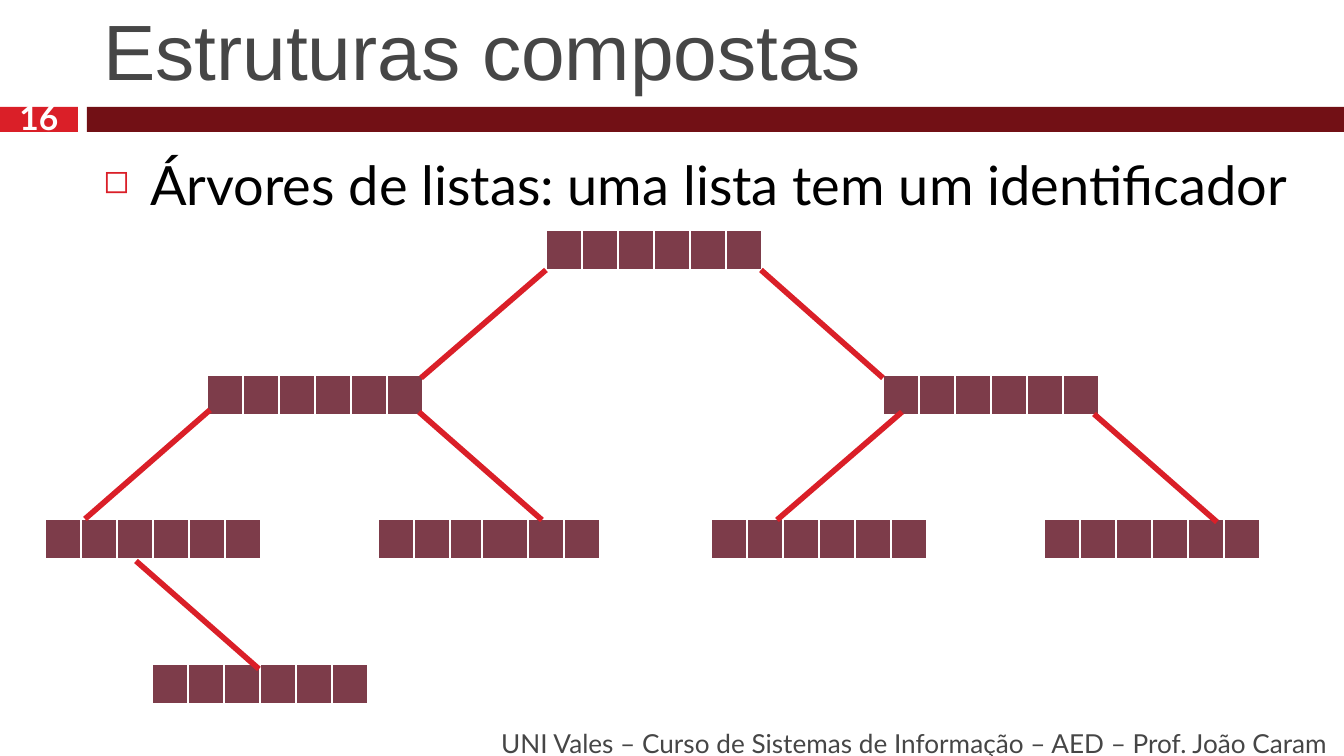
from lxml.etree import SubElement
from pptx import Presentation
from pptx.dml.color import RGBColor
from pptx.enum.shapes import MSO_CONNECTOR as Connector, MSO_SHAPE as Shape
from pptx.enum.text import MSO_ANCHOR as Anchor, PP_ALIGN as Align
from pptx.oxml.ns import qn
from pptx.util import Pt

WHITE = RGBColor(0xFF, 0xFF, 0xFF)
BLACK = RGBColor(0x00, 0x00, 0x00)
GRAY = RGBColor(0x46, 0x46, 0x46)
RED = RGBColor(0xDA, 0x1F, 0x28)
DARK_RED = RGBColor(0x72, 0x10, 0x15)
PLUM = RGBColor(0x7D, 0x3C, 0x4A)

PX_PER_INCH = 134.4
LIST_HEIGHT = 42
CELL = 36
EVEN_CELLS = [CELL] * 6


def px(length):
    return round(length * 914400 / PX_PER_INCH)


def add_color(parent, color):
    SubElement(SubElement(parent, qn("a:solidFill")), qn("a:srgbClr"), val=str(color))


def write(frame, text, size, color, font="Lato", bold=False,
          align=Align.LEFT, anchor=Anchor.TOP):
    frame.word_wrap = True
    frame.vertical_anchor = anchor
    paragraph = frame.paragraphs[0]
    paragraph.alignment = align
    run = paragraph.add_run()
    run.text = text
    run.font.size, run.font.name, run.font.bold = Pt(size), font, bold
    run.font.color.rgb = color
    return paragraph


class TreeSlide:
    def __init__(self, deck):
        self.shapes = deck.slides.add_slide(deck.slide_layouts[6]).shapes

    def bar(self, left, top, width, height, color):
        bar = self.shapes.add_shape(Shape.RECTANGLE, px(left), px(top), px(width), px(height))
        bar.shadow.inherit = False
        bar.fill.solid()
        bar.fill.fore_color.rgb = color
        bar.line.fill.background()

    def text(self, left, top, width, height, text, **style):
        box = self.shapes.add_textbox(px(left), px(top), px(width), px(height))
        return write(box.text_frame, text, **style)

    def bullet(self, paragraph, mark, color, percent, indent):
        paragraph.space_before = Pt(7)
        props = paragraph._p.get_or_add_pPr()
        props.set("marL", str(px(indent)))
        props.set("indent", str(-px(indent)))
        SubElement(SubElement(props, qn("a:buClr")), qn("a:srgbClr"), val=str(color))
        SubElement(props, qn("a:buSzPct"), val=str(percent * 1000))
        SubElement(props, qn("a:buChar"), char=mark)

    def list_node(self, left, top, widths=EVEN_CELLS):
        table = self.shapes.add_table(1, len(widths), px(left), px(top),
                                      px(sum(widths)), px(LIST_HEIGHT)).table
        table.first_row = table.horz_banding = False
        table.rows[0].height = px(LIST_HEIGHT)
        for column, width in zip(table.columns, widths):
            column.width = px(width)
        for cell in table.iter_cells():
            self.list_cell(cell)

    def list_cell(self, cell):
        cell.margin_top = cell.margin_bottom = 0
        # A small empty line keeps the row at its set height
        SubElement(cell.text_frame.paragraphs[0]._p, qn("a:endParaRPr"), sz="800")
        props = cell._tc.get_or_add_tcPr()
        for side, points in (("lnL", 1), ("lnR", 1), ("lnT", 1), ("lnB", 3)):
            add_color(SubElement(props, qn(f"a:{side}"), w=str(Pt(points))), WHITE)
        cell.fill.solid()
        cell.fill.fore_color.rgb = PLUM

    def branch(self, x1, y1, x2, y2):
        line = self.shapes.add_connector(Connector.STRAIGHT, px(x1), px(y1), px(x2), px(y2))
        line.line.color.rgb = RED
        line.line.width = Pt(3)
        SubElement(line._element.spPr, qn("a:effectLst"))


def main():
    deck = Presentation()
    deck.slide_width, deck.slide_height = px(1344), px(756)
    slide = TreeSlide(deck)

    # Header bars, title and page number
    slide.bar(0, 107, 78, 25, RED)
    slide.bar(87, 107, 1257, 25, DARK_RED)
    slide.text(90, 17, 1239, 86, "Estruturas compostas", size=42, color=GRAY,
               font="Arial", anchor=Anchor.BOTTOM)
    slide.text(0, 104, 78, 27, "16", size=18, color=WHITE, bold=True,
               align=Align.CENTER, anchor=Anchor.MIDDLE)

    # Topic and footer
    topic = slide.text(90, 145, 1239, 571, "Árvores de listas: uma lista tem um identificador",
                       size=29, color=BLACK)
    slide.bullet(topic, "◻", RED, percent=60, indent=47)
    slide.text(142, 723, 1199, 40,
               "UNI Vales – Curso de Sistemas de Informação – AED – Prof. João Caram",
               size=14, color=GRAY, align=Align.RIGHT, anchor=Anchor.MIDDLE)

    # Lists, level by level
    root, middle, leaves, bottom = 230, 375, 519, 664
    slide.list_node(546, root)
    slide.list_node(207, middle)
    slide.list_node(883, middle)
    slide.list_node(45, leaves)
    slide.list_node(378, leaves, [CELL, CELL, 26, 46, CELL, CELL])
    slide.list_node(711, leaves)
    slide.list_node(1044, leaves)
    slide.list_node(152, bottom)

    # Branches from parent to child
    for ends in ((546, 270, 421, 378), (761, 270, 883, 378),
                 (210, 410, 85, 519), (419, 412, 542, 520),
                 (902, 412, 777, 520), (1094, 414, 1217, 522),
                 (136, 561, 259, 669)):
        slide.branch(*ends)

    deck.save("out.pptx")


if __name__ == "__main__":
    main()
